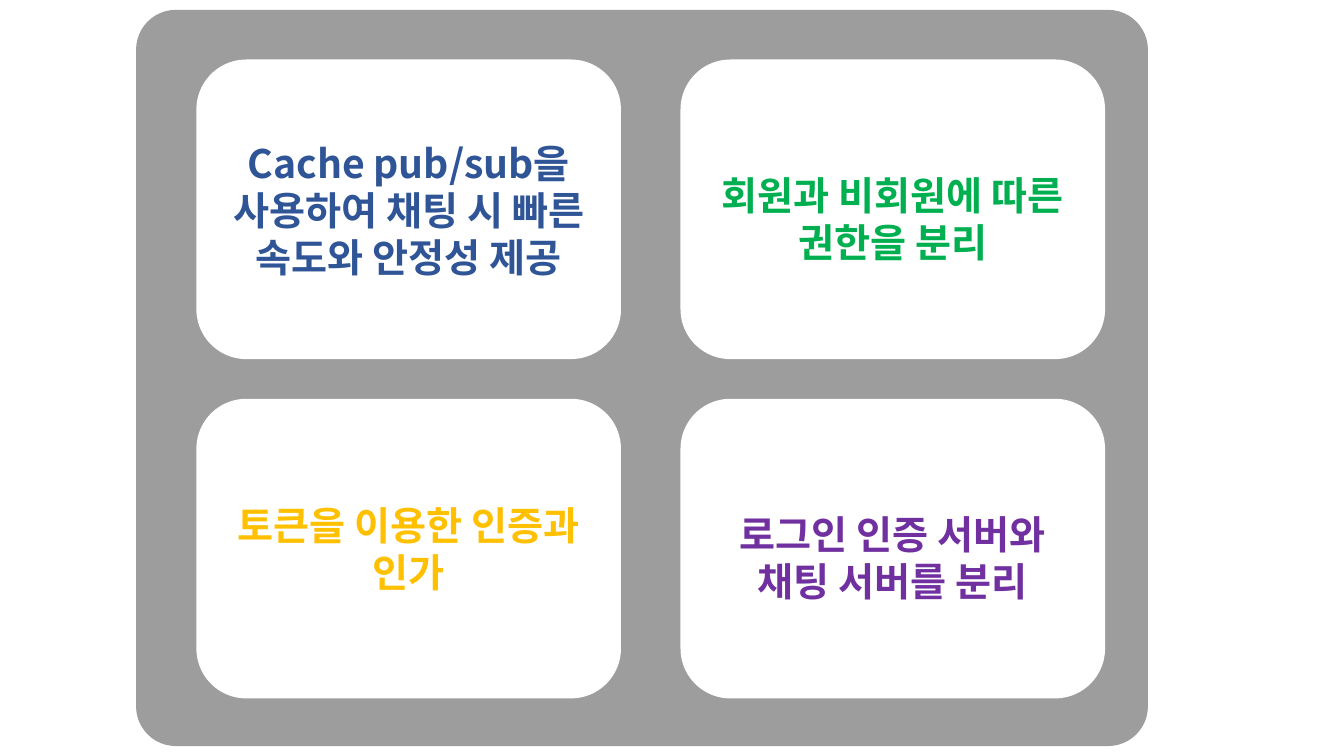
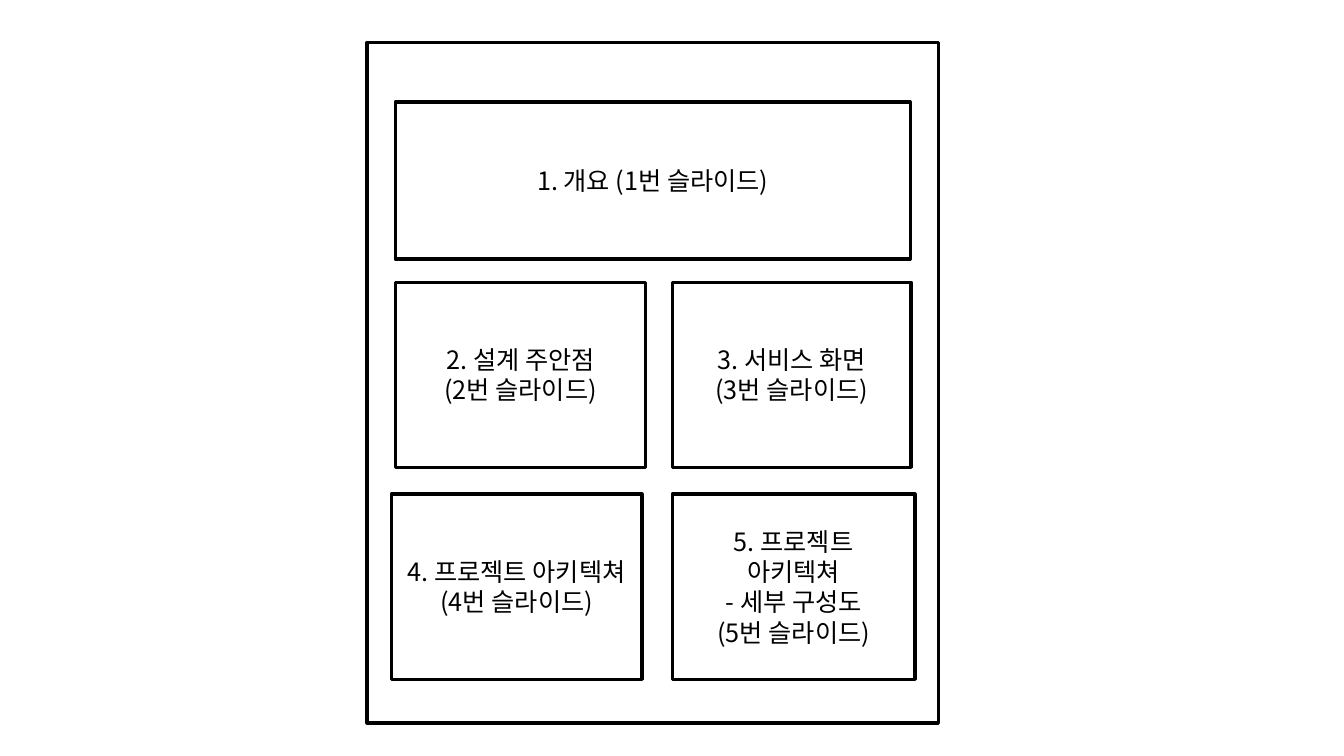
"""Build two slides: four design points on a panel and a page layout plan."""
from lxml import etree
from pptx import Presentation
from pptx.dml.color import RGBColor
from pptx.enum.shapes import MSO_SHAPE
from pptx.enum.text import MSO_ANCHOR, PP_ALIGN
from pptx.oxml.ns import qn
from pptx.util import Cm, Pt

RECT, ROUND = MSO_SHAPE.RECTANGLE, MSO_SHAPE.ROUNDED_RECTANGLE
MIDDLE, CENTER = MSO_ANCHOR.MIDDLE, PP_ALIGN.CENTER
FONT = "Noto Sans CJK KR"
WHITE = RGBColor(0xFF, 0xFF, 0xFF)
BLACK = RGBColor(0x00, 0x00, 0x00)
GRAY = RGBColor(0x9D, 0x9D, 0x9D)
BLUE = RGBColor(0x2F, 0x55, 0x97)
GREEN = RGBColor(0x00, 0xB0, 0x50)
AMBER = RGBColor(0xFF, 0xC0, 0x00)
PURPLE = RGBColor(0x70, 0x30, 0xA0)


def add_box(s, kind, left, top, width, height, fill=None, line=None):
    sp = s.shapes.add_shape(kind, Cm(left), Cm(top), Cm(width), Cm(height))
    sp.shadow.inherit = False
    if fill is None:
        sp.fill.background()
    else:
        sp.fill.solid()
        sp.fill.fore_color.rgb = fill
    if line is None:
        sp.line.fill.background()
    else:
        sp.line.color.rgb = line
        sp.line.width = Pt(2.25)
    return sp


def write_text(sp, text, size, color, bold=False):
    tf = sp.text_frame
    tf.text = text
    tf.word_wrap = True
    tf.vertical_anchor = MIDDLE
    for p in tf.paragraphs:
        p.alignment = CENTER
        p.line_spacing = Pt(size * 1.2)
        for r in p.runs:
            r.font.name = FONT
            r.font.size = Pt(size)
            r.font.bold = bold
            r.font.color.rgb = color
            etree.SubElement(r.font._element, qn("a:ea"), typeface=FONT)


prs = Presentation()
prs.slide_width, prs.slide_height = Cm(33.87), Cm(19.05)
blank = prs.slide_layouts[6]

s = prs.slides.add_slide(blank)
panel = add_box(s, ROUND, 3.43, 0.25, 25.5, 18.55, GRAY)
panel.adjustments[0] = 0.054

CARD_LEFT, CARD_TOP, CARD_W, CARD_H = 4.95, 1.5, 10.7, 7.55
COL_STEP, ROW_STEP = 12.2, 8.55
TOP_INSETS = [0.13, 0.58]
points = [
    ("Cache pub/sub을 사용하여 채팅 시 빠른 속도와 안정성 제공", BLUE),
    ("회원과 비회원에 따른 권한을 분리", GREEN),
    ("토큰을 이용한 인증과 인가", AMBER),
    ("로그인 인증 서버와 채팅 서버를 분리", PURPLE),
]
for i, (text, color) in enumerate(points):
    row, col = divmod(i, 2)
    card = add_box(s, ROUND, CARD_LEFT + col * COL_STEP,
                   CARD_TOP + row * ROW_STEP, CARD_W, CARD_H, WHITE)
    write_text(card, text, 28, color, bold=True)
    card.text_frame.margin_top = Cm(TOP_INSETS[col])

s = prs.slides.add_slide(blank)
add_box(s, RECT, 9.25, 1.07, 14.4, 17.15, line=BLACK)

sections = [
    (9.96, 2.57, 12.98, 3.96, 0.25, "1. 개요 (1번 슬라이드)"),
    (9.96, 7.11, 6.32, 4.67, 0.25, "2. 설계 주안점\n(2번 슬라이드)"),
    (16.94, 7.11, 6.02, 4.67, 0.25, "3. 서비스 화면\n(3번 슬라이드)"),
    (9.86, 12.45, 6.32, 4.67, 0.25, "4. 프로젝트 아키텍쳐\n(4번 슬라이드)"),
    (16.94, 12.45, 6.12, 4.67, 0.6,
     "5. 프로젝트 아키텍쳐\n- 세부 구성도\n(5번 슬라이드)"),
]
for left, top, width, height, inset, text in sections:
    section = add_box(s, RECT, left, top, width, height, line=BLACK)
    write_text(section, text, 18, BLACK)
    section.text_frame.margin_left = Cm(inset)
    section.text_frame.margin_right = Cm(inset)

prs.save("out.pptx")
